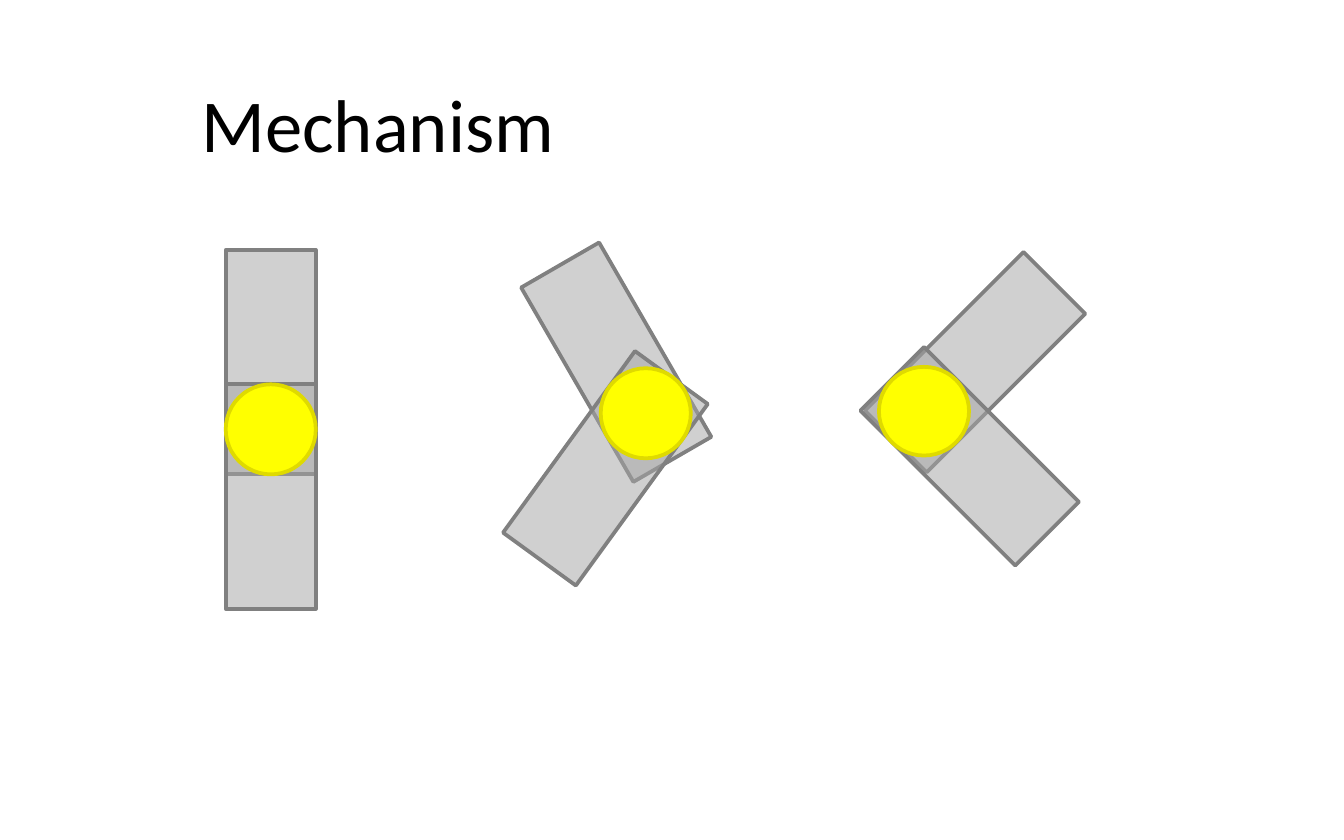
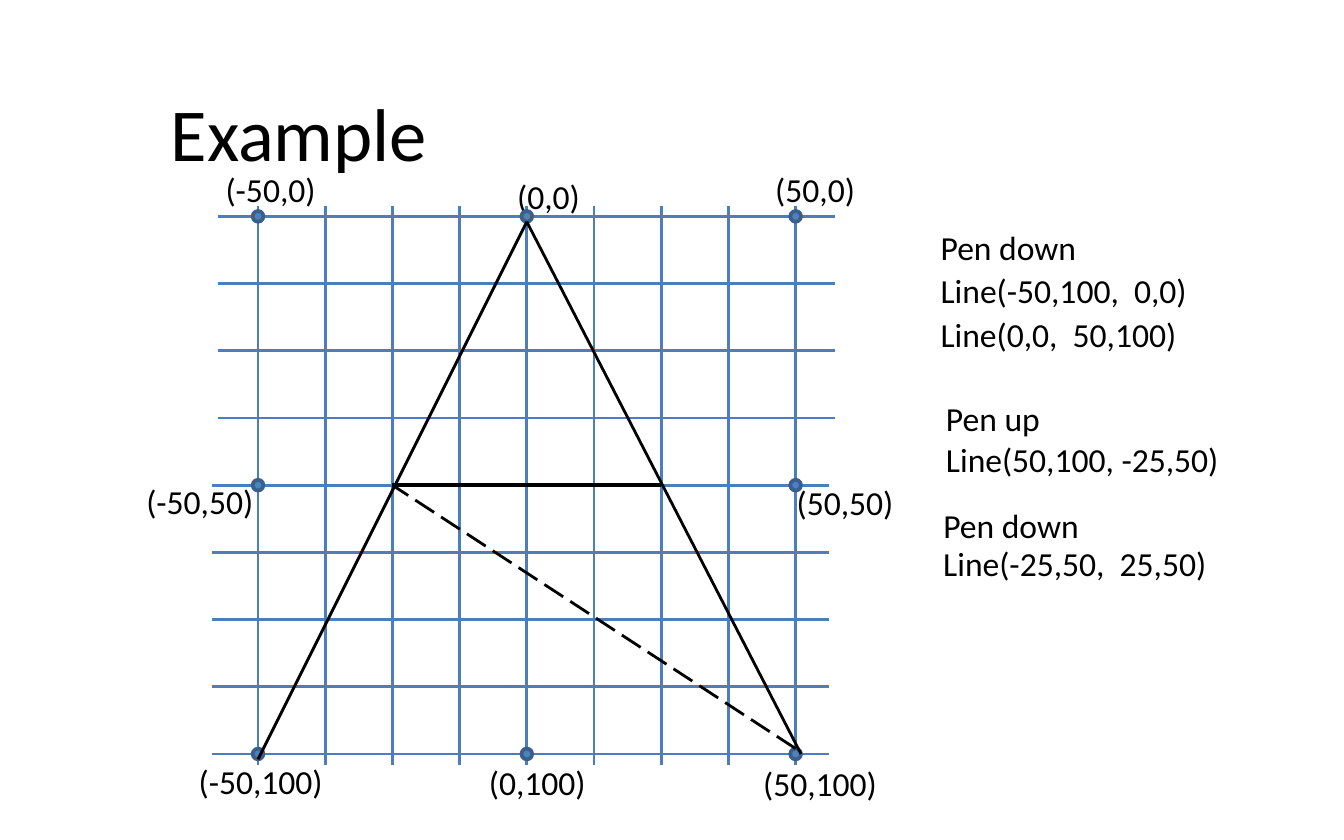
"""Build two slides: a hinge mechanism and a plotted letter example."""

import dataclasses
import typing

import lxml.etree
import pptx
import pptx.dml.color
import pptx.enum.dml
import pptx.enum.shapes
import pptx.enum.text
import pptx.oxml.ns
import pptx.presentation
import pptx.shapes.autoshape
import pptx.shapes.shapetree
import pptx.slide
import pptx.text.text
import pptx.util

EMU_PER_PX = 9144
SLIDE_WIDTH, SLIDE_HEIGHT = 1000, 625
TITLE_HEIGHT = 104
TITLE_ONLY_LAYOUT = 5
GRID_STEP = 50
GRID_LINES = 9
GRID_LEFT, GRID_TOP = 192, 161
ORIGIN_X = 392
PX_PER_UNIT = 4
DOT_SIZE = 8
LABEL_HEIGHT = 40


@dataclasses.dataclass(frozen=True)
class Theme:
    """Fonts, type sizes, line widths and colours."""

    font: str = "Calibri"
    title_size: int = 40
    text_size: int = 18
    outline_width: float = 2
    thin_width: float = 1.5
    thick_width: float = 2.25
    bar_opacity: int = 52
    text: str = "000000"
    bar: str = "A6A6A6"
    bar_outline: str = "808080"
    joint: str = "FFFF00"
    joint_outline: str = "DFDA00"
    grid: str = "4B7EBC"
    dot: str = "4F81BD"
    dot_outline: str = "3A5F8C"


THEME = Theme()


class Box(typing.NamedTuple):
    """A frame in px with a rotation in degrees."""

    left: int
    top: int
    width: int
    height: int
    rotation: int = 0


class Hinge(typing.NamedTuple):
    """Two bars held by a round joint."""

    upper_bar: Box
    lower_bar: Box
    joint: Box


class GridPoint(typing.NamedTuple):
    """A plotted coordinate and the place of its label."""

    x: int
    y: int
    label_left: int
    label_top: int
    label_width: int


class Stroke(typing.NamedTuple):
    """A straight line between two places in px."""

    start: tuple[int, int]
    end: tuple[int, int]
    width: float = THEME.thin_width
    color: str = THEME.text
    dashed: bool = False


class Command(typing.NamedTuple):
    """A pen command beside the grid."""

    text: str
    left: int
    top: int
    width: int


HINGES = (
    Hinge(Box(168, 186, 67, 167), Box(168, 286, 67, 167), Box(168, 286, 67, 67)),
    Hinge(Box(425, 186, 67, 167, 330), Box(417, 265, 67, 167, 36), Box(447, 274, 67, 67)),
    Hinge(Box(693, 186, 65, 167, 45), Box(688, 258, 67, 163, 315), Box(654, 273, 67, 66)),
)

GRID_POINTS = (
    GridPoint(0, 0, 375, 126, 68),
    GridPoint(50, 0, 567, 121, 80),
    GridPoint(-50, 0, 158, 121, 88),
    GridPoint(50, 50, 583, 354, 93),
    GridPoint(-50, 50, 99, 353, 101),
    GridPoint(50, 100, 558, 563, 106),
    GridPoint(0, 100, 354, 562, 93),
    GridPoint(-50, 100, 138, 561, 114),
)

LETTER_STROKES = (
    Stroke((192, 565), (392, 165)),
    Stroke((392, 165), (596, 561)),
    Stroke((592, 557), (292, 361), dashed=True),
    Stroke((292, 361), (492, 361), THEME.thick_width),
)

COMMANDS = (
    Command("Pen down", 690, 164, 122),
    Command("Line(-50,100,  0,0)", 690, 196, 218),
    Command("Line(0,0,  50,100)", 690, 229, 204),
    Command("Pen up", 694, 291, 91),
    Command("Line(50,100, -25,50)", 694, 322, 231),
    Command("Pen down", 692, 371, 122),
    Command("Line(-25,50,  25,50)", 692, 399, 224),
)


def px(length: int) -> pptx.util.Emu:
    """Turn px into EMU."""
    return pptx.util.Emu(length * EMU_PER_PX)


def rgb(color: str) -> pptx.dml.color.RGBColor:
    """Turn a hexadecimal string into a colour."""
    return pptx.dml.color.RGBColor.from_string(color)


def format_paragraph(paragraph: pptx.text.text._Paragraph, size: int) -> None:
    """Give a paragraph the theme font and left alignment."""
    paragraph.alignment = pptx.enum.text.PP_ALIGN.LEFT
    paragraph.font.name = THEME.font
    paragraph.font.size = pptx.util.Pt(size)
    paragraph.font.color.rgb = rgb(THEME.text)


def add_titled_slide(
    presentation: pptx.presentation.Presentation, text: str, left: int, top: int, width: int
) -> pptx.slide.Slide:
    """Add a slide with its title placed and formatted."""
    slide = presentation.slides.add_slide(presentation.slide_layouts[TITLE_ONLY_LAYOUT])
    title = slide.shapes.title
    title.left, title.top = px(left), px(top)
    title.width, title.height = px(width), px(TITLE_HEIGHT)
    title.text_frame.text = text
    title.text_frame.vertical_anchor = pptx.enum.text.MSO_ANCHOR.MIDDLE
    format_paragraph(title.text_frame.paragraphs[0], THEME.title_size)
    return slide


def add_filled_shape(
    shapes: pptx.shapes.shapetree._BaseGroupShapes,
    kind: pptx.enum.shapes.MSO_SHAPE,
    box: Box,
    fill: str,
    outline: str,
) -> pptx.shapes.autoshape.Shape:
    """Add a filled and outlined preset shape."""
    shape = shapes.add_shape(kind, px(box.left), px(box.top), px(box.width), px(box.height))
    shape.rotation = box.rotation
    shape.shadow.inherit = False
    shape.fill.solid()
    shape.fill.fore_color.rgb = rgb(fill)
    shape.line.color.rgb = rgb(outline)
    shape.line.width = pptx.util.Pt(THEME.outline_width)
    return shape


def set_opacity(shape: pptx.shapes.autoshape.Shape, percent: int) -> None:
    """Make the solid fill of a shape see-through."""
    qn = pptx.oxml.ns.qn
    color = shape.element.spPr.find(f"{qn('a:solidFill')}/{qn('a:srgbClr')}")
    lxml.etree.SubElement(color, qn("a:alpha"), val=str(percent * 1000))


def add_hinge(slide: pptx.slide.Slide, hinge: Hinge) -> None:
    """Add a group of two bars and a joint."""
    group = slide.shapes.add_group_shape()
    for bar in (hinge.upper_bar, hinge.lower_bar):
        shape = add_filled_shape(
            group.shapes, pptx.enum.shapes.MSO_SHAPE.RECTANGLE, bar, THEME.bar, THEME.bar_outline
        )
        set_opacity(shape, THEME.bar_opacity)
    add_filled_shape(
        group.shapes, pptx.enum.shapes.MSO_SHAPE.OVAL, hinge.joint, THEME.joint, THEME.joint_outline
    )


def add_stroke(slide: pptx.slide.Slide, stroke: Stroke) -> None:
    """Add a straight line without a shadow."""
    connector = slide.shapes.add_connector(
        pptx.enum.shapes.MSO_CONNECTOR.STRAIGHT,
        *(px(length) for length in stroke.start + stroke.end),
    )
    connector.line.color.rgb = rgb(stroke.color)
    connector.line.width = pptx.util.Pt(stroke.width)
    if stroke.dashed:
        connector.line.dash_style = pptx.enum.dml.MSO_LINE.LONG_DASH
    lxml.etree.SubElement(connector.element.spPr, pptx.oxml.ns.qn("a:effectLst"))


def add_label(slide: pptx.slide.Slide, text: str, left: int, top: int, width: int) -> None:
    """Add one line of text."""
    label = slide.shapes.add_textbox(px(left), px(top), px(width), px(LABEL_HEIGHT))
    label.text_frame.word_wrap = False
    label.text_frame.auto_size = pptx.enum.text.MSO_AUTO_SIZE.SHAPE_TO_FIT_TEXT
    label.text_frame.text = text
    format_paragraph(label.text_frame.paragraphs[0], THEME.text_size)


def add_grid(slide: pptx.slide.Slide) -> None:
    """Add the evenly spaced columns and rows."""
    for index in range(GRID_LINES):
        x = GRID_LEFT + index * GRID_STEP
        y = GRID_TOP + index * GRID_STEP
        row_left, row_right = (162, 621) if index < 4 else (158, 617)
        add_stroke(slide, Stroke((x, 153), (x, 569), color=THEME.grid))
        add_stroke(slide, Stroke((row_left, y), (row_right, y), color=THEME.grid))


def add_grid_point(slide: pptx.slide.Slide, point: GridPoint) -> None:
    """Add a dot at a coordinate with its label."""
    left = ORIGIN_X + point.x * PX_PER_UNIT - DOT_SIZE // 2
    top = GRID_TOP + point.y * PX_PER_UNIT - DOT_SIZE // 2
    add_label(
        slide, f"({point.x},{point.y})", point.label_left, point.label_top, point.label_width
    )
    add_filled_shape(
        slide.shapes,
        pptx.enum.shapes.MSO_SHAPE.OVAL,
        Box(left, top, DOT_SIZE, DOT_SIZE),
        THEME.dot,
        THEME.dot_outline,
    )


def build_mechanism(presentation: pptx.presentation.Presentation) -> None:
    """Build the slide of hinge positions."""
    slide = add_titled_slide(presentation, "Mechanism", 140, 39, 343)
    for hinge in HINGES:
        add_hinge(slide, hinge)


def build_example(presentation: pptx.presentation.Presentation) -> None:
    """Build the slide of the plotted letter and its commands."""
    slide = add_titled_slide(presentation, "Example", 117, 46, 533)
    add_grid(slide)
    for point in GRID_POINTS:
        add_grid_point(slide, point)
    for stroke in LETTER_STROKES:
        add_stroke(slide, stroke)
    for command in COMMANDS:
        add_label(slide, *command)


def main() -> None:
    """Build and save the presentation."""
    presentation = pptx.Presentation()
    presentation.slide_width = px(SLIDE_WIDTH)
    presentation.slide_height = px(SLIDE_HEIGHT)
    build_mechanism(presentation)
    build_example(presentation)
    presentation.save("out.pptx")


if __name__ == "__main__":
    main()
